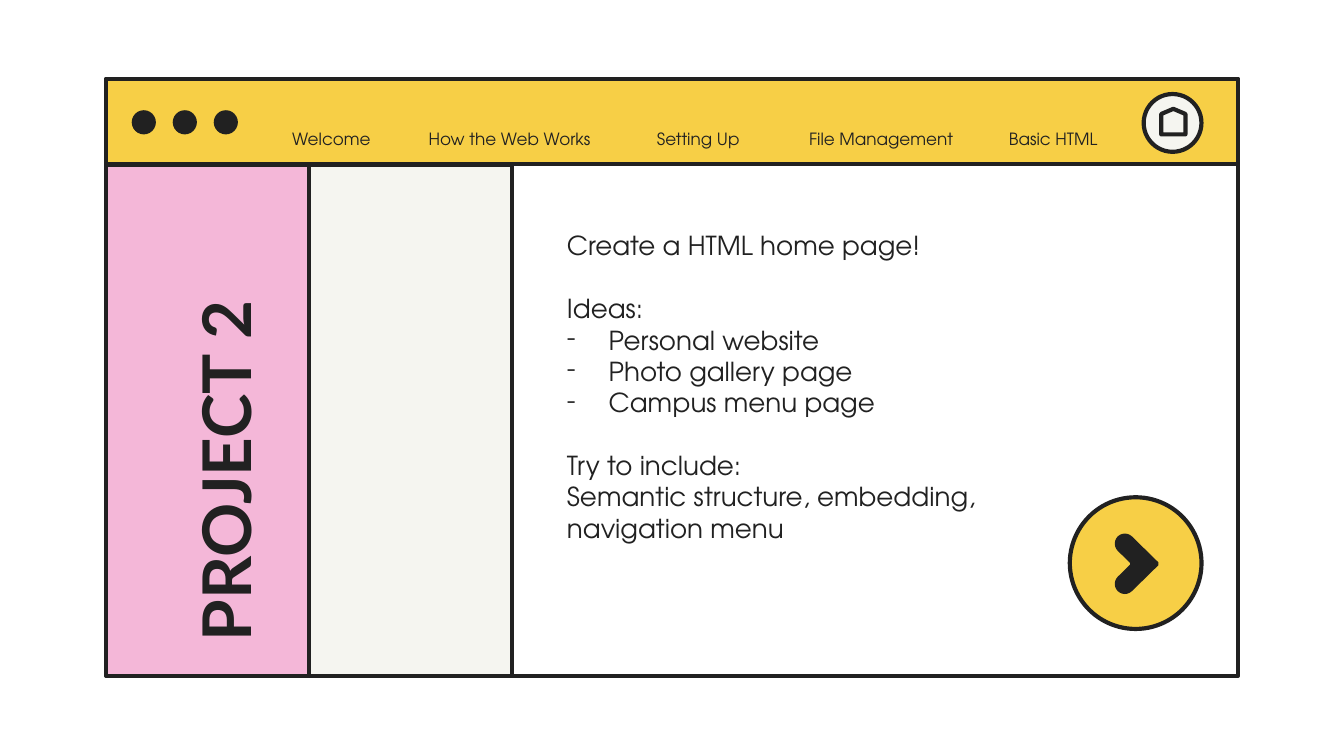
from dataclasses import dataclass
from math import cos, radians, sin

from lxml import etree
from pptx import Presentation
from pptx.dml.color import RGBColor
from pptx.enum.shapes import MSO_SHAPE
from pptx.enum.text import MSO_ANCHOR, PP_ALIGN
from pptx.oxml.ns import qn
from pptx.util import Inches, Pt

RECT, OVAL = MSO_SHAPE.RECTANGLE, MSO_SHAPE.OVAL
HOME = MSO_SHAPE.FLOWCHART_OFFPAGE_CONNECTOR
TOP, MIDDLE = MSO_ANCHOR.TOP, MSO_ANCHOR.MIDDLE
LEFT, CENTER = PP_ALIGN.LEFT, PP_ALIGN.CENTER


@dataclass
class Theme:
    ink: str = "212121"
    white: str = "FFFFFF"
    yellow: str = "F7CF46"
    pink: str = "F4B7D8"
    cream: str = "F5F5F0"
    head: str = "Lato"
    body: str = "TeX Gyre Adventor"
    title: float = 36
    text: float = 14
    nav: float = 9
    gap: float = 16.8
    line: float = 2.25


theme = Theme()

# Grid: 100 columns by 56.25 rows of square cells
COLS, ROWS = 100, 56.25
deck = Presentation()
deck.slide_width, deck.slide_height = Inches(10), Inches(5.625)
CELL = deck.slide_width / COLS
slide = deck.slides.add_slide(deck.slide_layouts[6])


def draw(kind, x, y, w, h, fill=None, line=theme.ink):
    shape = slide.shapes.add_shape(kind, *(round(n * CELL) for n in (x, y, w, h)))
    shape.shadow.inherit = False
    if fill:
        shape.fill.solid()
        shape.fill.fore_color.rgb = RGBColor.from_string(fill)
    else:
        shape.fill.background()
    if line:
        shape.line.color.rgb = RGBColor.from_string(line)
        shape.line.width = Pt(theme.line)
    else:
        shape.line.fill.background()
    return shape


def write(rows, x, y, w, h, size, font=theme.body, bold=False, align=LEFT,
          anchor=TOP, pads=(1, 1), after=0, turn=0):
    """Each row is (text, space before in points, bullet sign)."""
    box = slide.shapes.add_textbox(*(round(n * CELL) for n in (x, y, w, h)))
    box.rotation = turn
    frame = box.text_frame
    frame.word_wrap = True
    frame.vertical_anchor = anchor
    frame.margin_left = frame.margin_right = round(CELL)
    frame.margin_top, frame.margin_bottom = (round(n * CELL) for n in pads)
    for i, (text, before, sign) in enumerate(rows):
        para = frame.paragraphs[0] if i == 0 else frame.add_paragraph()
        para.alignment = align
        para.space_before, para.space_after = Pt(before), Pt(after)
        if sign:
            props = para._p.get_or_add_pPr()
            props.set("marL", str(round(3.1 * CELL)))
            props.set("indent", str(round(-3.1 * CELL)))
            tint = etree.SubElement(props, qn("a:buClr"))
            etree.SubElement(tint, qn("a:srgbClr"), val=theme.ink)
            etree.SubElement(props, qn("a:buFont"), typeface=font)
            etree.SubElement(props, qn("a:buChar"), char=sign)
        run = para.add_run()
        run.text = text
        run.font.name, run.font.size, run.font.bold = font, Pt(size), bold
        run.font.color.rgb = RGBColor.from_string(theme.ink)


# Browser window, title bar and its dots
left, top, wide, high = 7.9, 5.9, 84.2, 44.4
bar = 6.3
draw(RECT, left, top, wide, high, theme.white)
draw(RECT, left, top, wide, bar, theme.yellow)
for i in range(3):
    draw(OVAL, 9.8 + 3.05 * i, 8.2, 1.8, 1.8, theme.ink, None)

# Side panels
side = 15.1
for i, fill in enumerate((theme.pink, theme.cream)):
    draw(RECT, left + i * side, top + bar + 0.1, side, 38, fill)

# Title and body
write([("PROJECT 2", 0, None)], -0.7, 26.9, 35.2, 8.4, theme.title,
      font=theme.head, bold=True, turn=270)
write([
    ("Create a HTML home page!", 0, None),
    ("Ideas:", theme.gap, None),
    ("Personal website", 0, "-"),
    ("Photo gallery page", 0, "-"),
    ("Campus menu page", 0, "-"),
    ("Try to include:", theme.gap, None),
    ("Semantic structure, embedding, navigation menu", 0, None),
], 41.2, 16.1, 35.2, 30.7, theme.text)

# Next button: a chevron with round ends, mirrored about its middle row
draw(OVAL, 79.6, 37, 9.8, 9.8, theme.yellow)
mid, arm, rad = 41.95, 1.5, 0.75
half = [(86.2, -0.1), *((83.7 + rad * cos(radians(a)), -arm + rad * sin(radians(a)))
                        for a in range(-45, -226, -15)), (84.1, -0.05)]
edge = half + [(x, -y) for x, y in reversed(half)]
dots = [(round(x * CELL), round((mid + y) * CELL)) for x, y in edge]
pen = slide.shapes.build_freeform(*dots[0])
pen.add_line_segments(dots[1:], close=True)
arrow = pen.convert_to_shape()
arrow.shadow.inherit = False
arrow.fill.solid()
arrow.fill.fore_color.rgb = RGBColor.from_string(theme.ink)
arrow.line.fill.background()

# Home button
draw(OVAL, 85.1, 7, 4.3, 4.3, theme.cream)
draw(HOME, 86.4, 8.1, 1.8, 1.9).rotation = 180

# Navigation links
for text, x, w in (
    ("Welcome", 17.2, 14.9),
    ("How the Web Works", 30, 15.8),
    ("Setting Up", 43.7, 16.5),
    ("File Management", 58.1, 14.9),
    ("Basic HTML", 70.9, 14.9),
):
    write([(text, 0, None)], x, 8.2, w, 2.2, theme.nav, align=CENTER,
          anchor=MIDDLE, pads=(2, 0), after=16)

deck.save("out.pptx")
